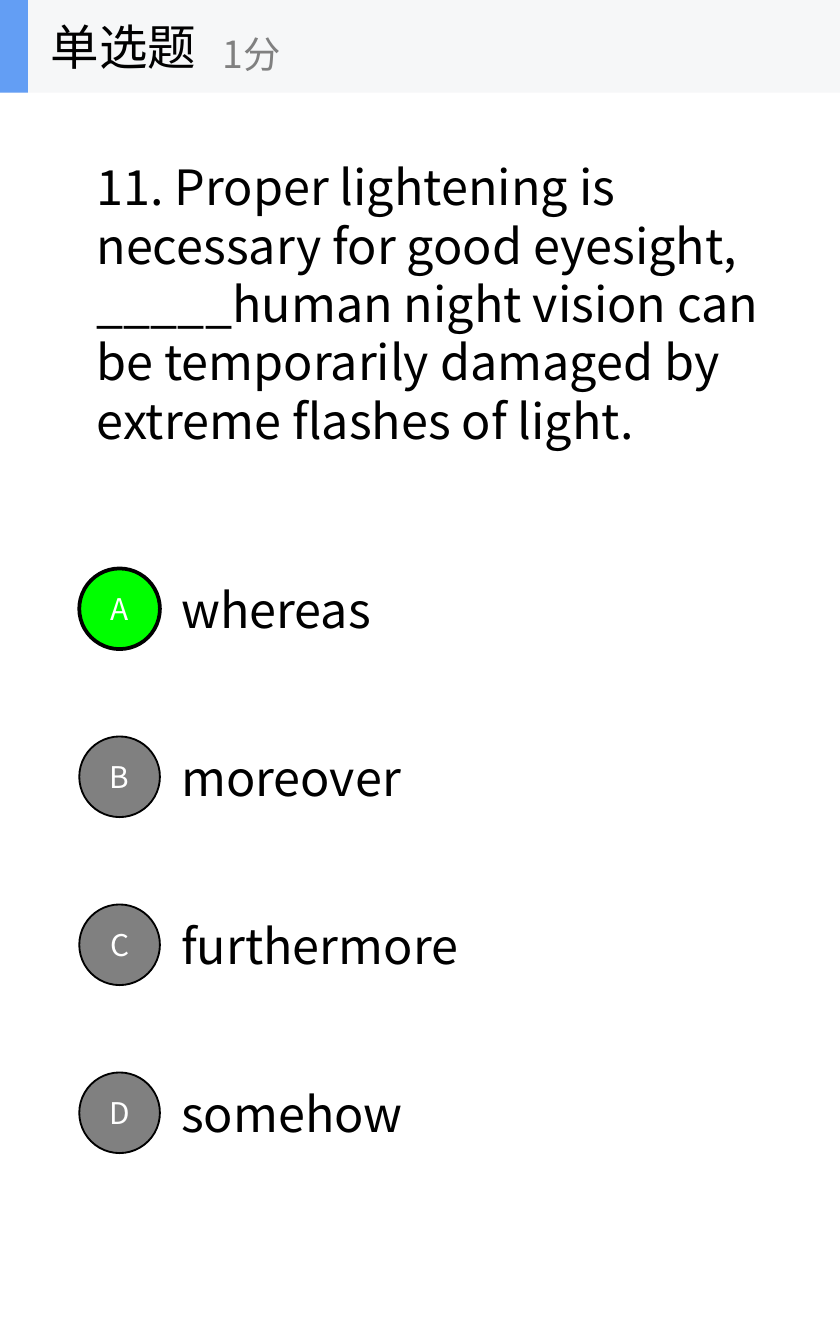
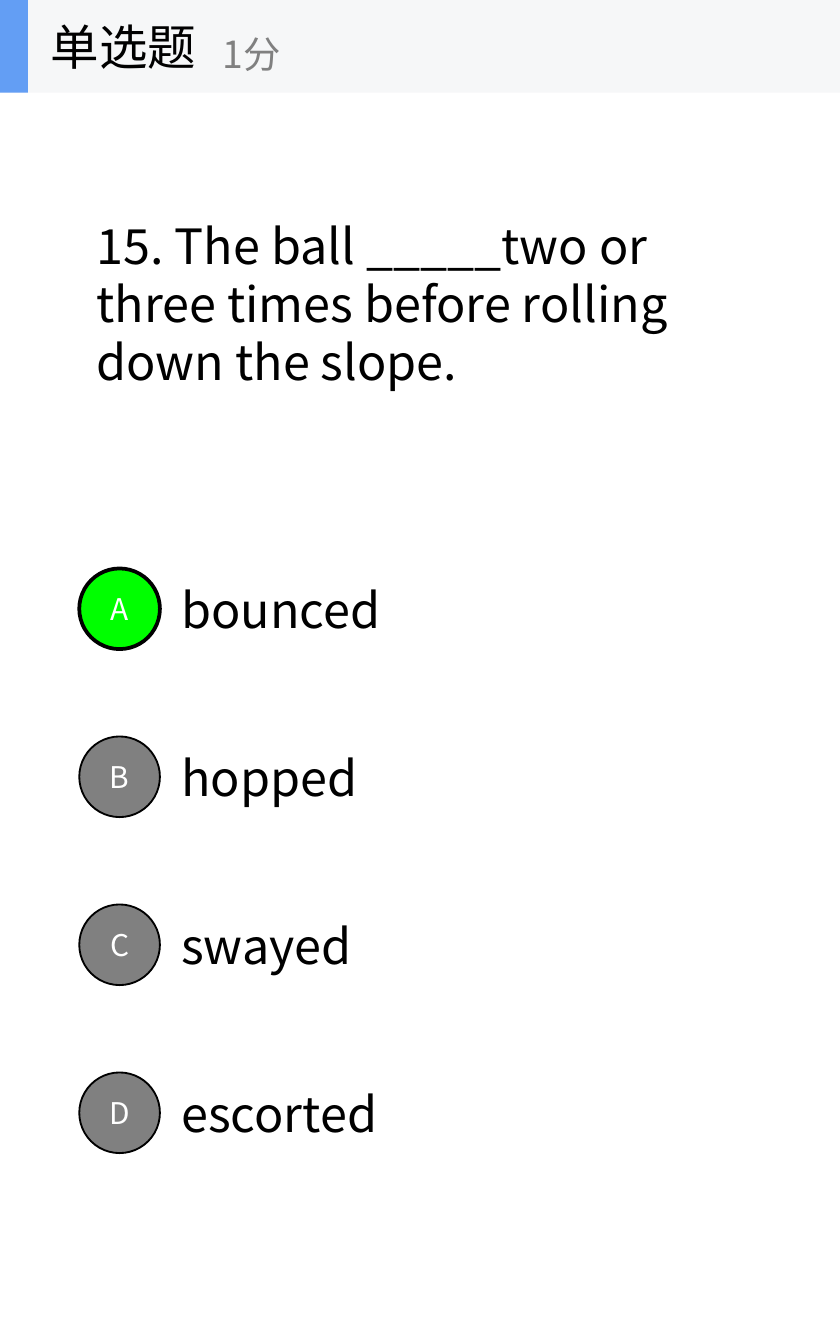
from pptx import Presentation
from pptx.dml.color import RGBColor
from pptx.enum import shapes, text
from pptx.oxml import ns
from pptx.util import Pt
from lxml import etree

FONT = "Noto Sans CJK SC"
BLACK, WHITE, GREY = "000000", "FFFFFF", "808080"
GREEN, BLUE, BAND = "00FF00", "639EF4", "F6F7F8"
RECT, OVAL = shapes.MSO_SHAPE.RECTANGLE, shapes.MSO_SHAPE.OVAL
HEADER_H = 49.68
QUESTION_MID = 162.36
FIRST_MID, STEP, CIRCLE = 326.16, 90, 43.2


def write(sp, words, size=26, color=BLACK, align=None, spacing=None):
    tf = sp.text_frame
    tf.word_wrap = True
    tf.vertical_anchor = text.MSO_ANCHOR.MIDDLE
    p = tf.paragraphs[0]
    p.alignment = align
    p.line_spacing = spacing
    r = p.add_run()
    r.text = words
    r.font.size = Pt(size)
    r.font.name = FONT
    r.font.color.rgb = RGBColor.from_string(color)
    etree.SubElement(r.font._element, ns.qn("a:ea"), typeface=FONT)


def draw(parent, kind, box, fill, line=None):
    sp = parent.add_shape(kind, *map(Pt, box))
    sp.shadow.inherit = False
    sp.fill.solid()
    sp.fill.fore_color.rgb = RGBColor.from_string(fill)
    if line:
        sp.line.color.rgb = RGBColor.from_string(BLACK)
        sp.line.width = Pt(line)
    else:
        sp.line.fill.background()
    return sp


questions = [
    ("11. Proper lightening is necessary for good eyesight, _____human night vision "
     "can be temporarily damaged by extreme flashes of light.", 5,
     [("whereas", 166), ("moreover", 176), ("furthermore", 183), ("somehow", 204)]),
    ("15. The ball _____two or three times before rolling down the slope.", 3,
     [("bounced", 246), ("hopped", 176), ("swayed", 268), ("escorted", 204)]),
]
answer = "A"

prs = Presentation()
prs.slide_width, prs.slide_height = Pt(450), Pt(720)

for question, lines, options in questions:
    s = prs.slides.add_slide(prs.slide_layouts[6])

    height = lines * 31.5 + 7.2
    sp = s.shapes.add_textbox(Pt(44.64), Pt(QUESTION_MID - height / 2), Pt(371.5), Pt(height))
    write(sp, question, spacing=Pt(31.2))

    for i, (letter, (option, width)) in enumerate(zip("ABCD", options)):
        mid = FIRST_MID + i * STEP
        sp = s.shapes.add_textbox(Pt(90), Pt(mid - 19.44), Pt(width), Pt(38.88))
        write(sp, option)
        right = letter == answer
        sp = draw(s.shapes, OVAL, (42.48, mid - CIRCLE / 2, CIRCLE, CIRCLE),
                  GREEN if right else GREY, line=2 if right else 1)
        write(sp, letter, size=16, color=WHITE, align=text.PP_ALIGN.CENTER)

    header = s.shapes.add_group_shape().shapes
    draw(header, RECT, (0, 0, 450, HEADER_H), BAND)
    draw(header, RECT, (0, 0, 15, HEADER_H), BLUE)
    sp = header.add_textbox(Pt(20.16), Pt(0), Pt(150), Pt(HEADER_H))
    write(sp, "单选题")
    sp = header.add_textbox(Pt(112.32), Pt(8.64), Pt(180), Pt(40.32))
    write(sp, "1分", size=20, color=GREY)

prs.save("out.pptx")
